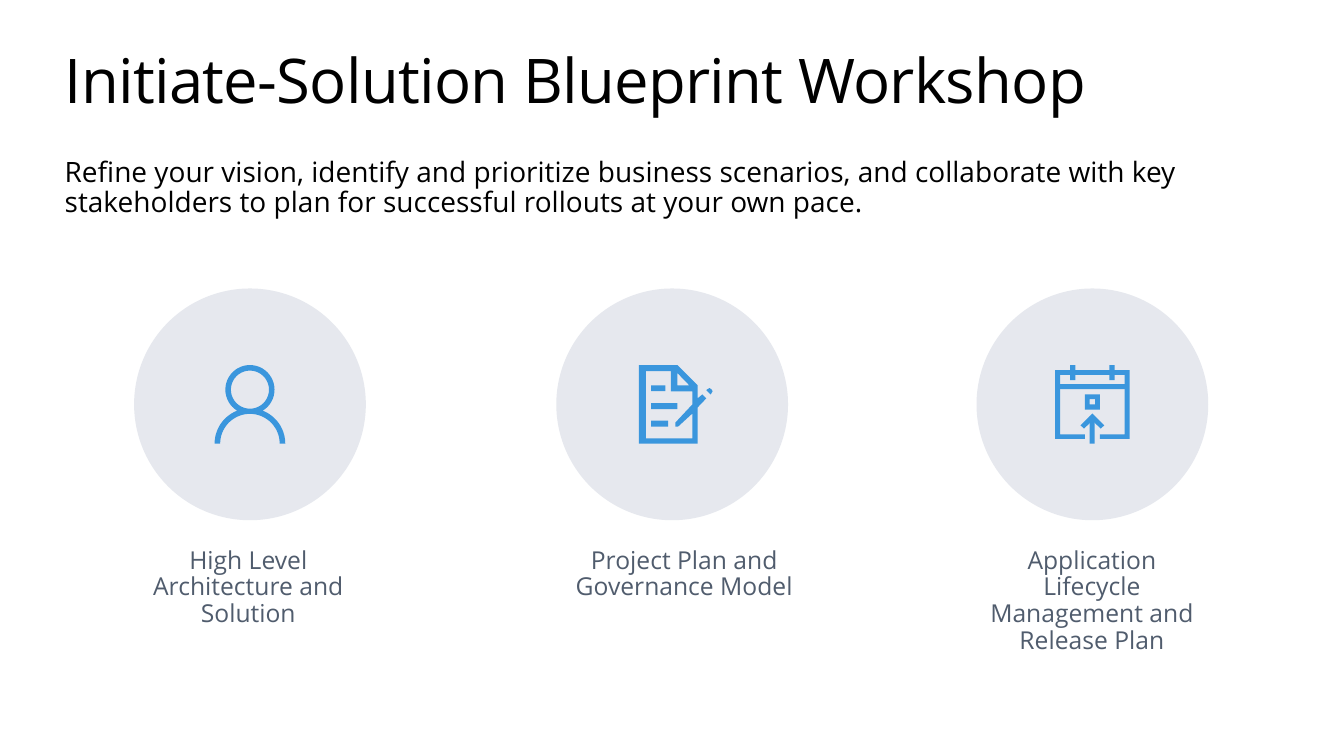
from dataclasses import dataclass
from math import cos, radians, sin

from pptx import Presentation
from pptx.dml.color import RGBColor
from pptx.enum.shapes import MSO_SHAPE as Preset
from pptx.enum.text import PP_ALIGN as Align
from pptx.util import Cm, Pt


@dataclass(frozen=True)
class Theme:
    font: str = "Open Sans"
    ink: RGBColor = RGBColor(0x00, 0x00, 0x00)
    caption_ink: RGBColor = RGBColor(0x50, 0x5C, 0x6D)
    disc: RGBColor = RGBColor(0xE6, 0xE8, 0xEE)
    icon: RGBColor = RGBColor(0x3A, 0x96, 0xDD)
    title_size: float = 44
    body_size: float = 20
    caption_size: float = 17.6


THEME = Theme()
MARGIN, TEXT_WIDTH = 1.63, 30.61
DISC_Y, DISC_RADIUS = 10.19, 2.92
CAPTION_TOP = 13.56


def add_text(shapes, text, box, size, color, align=Align.LEFT, inset=0.0,
             spacing=0.9, after=0.0):
    """Add a wrapped text box; box is left, top, width, height in cm."""
    shape = shapes.add_textbox(*map(Cm, box))
    frame = shape.text_frame
    frame.word_wrap = True
    frame.margin_left = frame.margin_right = Cm(inset)
    frame.margin_top = frame.margin_bottom = Cm(inset)
    paragraph = frame.paragraphs[0]
    paragraph.text = text
    paragraph.alignment = align
    paragraph.line_spacing = spacing
    paragraph.space_after = Pt(after)
    font = paragraph.font
    font.name, font.size, font.color.rgb = THEME.font, Pt(size), color
    return paragraph


def paint(shape, color):
    shape.shadow.inherit = False
    shape.fill.solid()
    shape.fill.fore_color.rgb = color
    shape.line.fill.background()


def arc(center_y, radius, start, end, steps=40):
    """Points on a circle around x = 0; degrees run clockwise from the top."""
    angles = [radians(start + (end - start) * i / steps) for i in range(steps + 1)]
    return [(radius * sin(a), center_y - radius * cos(a)) for a in angles]


class Icon:
    """Draws parts given in cm from the middle of a disc."""

    def __init__(self, shapes, center_x):
        self.shapes, self.center_x = shapes, center_x

    def place(self, x, y):
        return Cm(self.center_x + x), Cm(DISC_Y + y)

    def bar(self, x, y, width, height):
        bar = self.shapes.add_shape(
            Preset.RECTANGLE, *self.place(x, y), Cm(width), Cm(height))
        paint(bar, THEME.icon)

    def outline(self, *contours):
        first, *holes = [[self.place(*point) for point in contour]
                         for contour in contours]
        builder = self.shapes.build_freeform(*first[0])
        builder.add_line_segments(first[1:])
        for hole in holes:
            builder.move_to(*hole[0])
            builder.add_line_segments(hole[1:])
        paint(builder.convert_to_shape(), THEME.icon)


def draw_person(icon):
    head_y, shoulder_y = -0.37, 0.99
    icon.outline(
        arc(shoulder_y, 0.89, -90, -21) + arc(head_y, 0.62, -149, 149)
        + arc(shoulder_y, 0.89, 21, 90) + arc(shoulder_y, 0.75, 90, -90),
        arc(head_y, 0.48, 360, 0))


def draw_document(icon):
    for y, width in ((-0.48, 0.36), (-0.03, 0.66), (0.41, 0.43)):
        icon.bar(-0.53, y, width, 0.15)
    # Pencil end
    icon.outline([(0.89, -0.38), (0.86, -0.36), (0.97, -0.25), (0.99, -0.28),
                  (1.02, -0.33), (0.99, -0.38), (0.94, -0.41)])
    # Page with folded corner and pencil
    icon.outline(
        [(0.76, -0.25), (0.64, -0.15), (0.64, -0.48), (0.13, -0.99),
         (-0.84, -0.99), (-0.84, 0.99), (0.64, 0.99), (0.64, 0.08), (0.86, -0.15)],
        [(0.43, -0.48), (0.13, -0.48), (0.13, -0.79)],
        [(0.51, 0.86), (-0.66, 0.86), (-0.66, -0.84), (-0.03, -0.84),
         (-0.03, -0.33), (0.51, -0.33), (0.51, 0), (0.08, 0.46), (0.08, 0.56),
         (0.15, 0.56), (0.51, 0.23)])


def draw_calendar(icon):
    for x in (-0.56, 0.43):
        icon.bar(x, -0.99, 0.13, 0.38)
    icon.bar(-0.88, -0.51, 1.75, 0.13)
    # Frame, open at the bottom
    right_half = [(0.94, -0.86), (0.94, 0.87), (0.19, 0.87), (0.19, 0.76),
                  (0.81, 0.76), (0.81, -0.74)]
    icon.outline(right_half + [(-x, y) for x, y in reversed(right_half)])
    # Arrow and day mark
    icon.outline([(0.21, 0.61), (0, 0.41), (-0.21, 0.61), (-0.3, 0.53),
                  (0, 0.23), (0.3, 0.53)])
    icon.outline([(0.19, 0.13), (-0.19, 0.13), (-0.19, -0.25), (0.19, -0.25)],
                 [(-0.07, 0), (0.07, 0), (0.07, -0.13), (-0.07, -0.13)])
    icon.bar(-0.07, 0.3, 0.13, 0.69)


def add_topic(slide, center_x, draw_icon, caption, caption_box):
    """Add a disc with its icon and the caption below, as one group."""
    shapes = slide.shapes.add_group_shape().shapes
    disc = shapes.add_shape(
        Preset.OVAL, Cm(center_x - DISC_RADIUS), Cm(DISC_Y - DISC_RADIUS),
        Cm(2 * DISC_RADIUS), Cm(2 * DISC_RADIUS))
    paint(disc, THEME.disc)
    draw_icon(Icon(shapes, center_x))
    left, width, height = caption_box
    add_text(shapes, caption, (left, CAPTION_TOP, width, height),
             THEME.caption_size, THEME.caption_ink, Align.CENTER,
             inset=0.25, after=11.8)


def main():
    presentation = Presentation()
    presentation.slide_width, presentation.slide_height = Cm(33.87), Cm(19.05)
    slide = presentation.slides.add_slide(presentation.slide_layouts[6])

    # Heading and introduction
    title = add_text(slide.shapes, "Initiate-Solution Blueprint Workshop",
                     (MARGIN, 1.27, TEXT_WIDTH, 1.55), THEME.title_size, THEME.ink)
    title.runs[0].font._element.set("spc", "-50")
    add_text(slide.shapes,
             "Refine your vision, identify and prioritize business scenarios, and "
             "collaborate with key stakeholders to plan for successful rollouts at "
             "your own pace.",
             (MARGIN, 3.99, TEXT_WIDTH, 13.44), THEME.body_size, THEME.ink)

    # Topics: disc centre, icon, caption, caption left / width / height
    topics = (
        (6.3, draw_person, "High Level Architecture and Solution",
         (3.15, 6.22, 2.77)),
        (16.94, draw_document, "Project Plan and Governance Model",
         (13.69, 7.11, 2.01)),
        (27.53, draw_calendar, "Application Lifecycle Management and Release Plan",
         (24.41, 6.22, 3.53)),
    )
    for topic in topics:
        add_topic(slide, *topic)

    presentation.save("out.pptx")


main()
